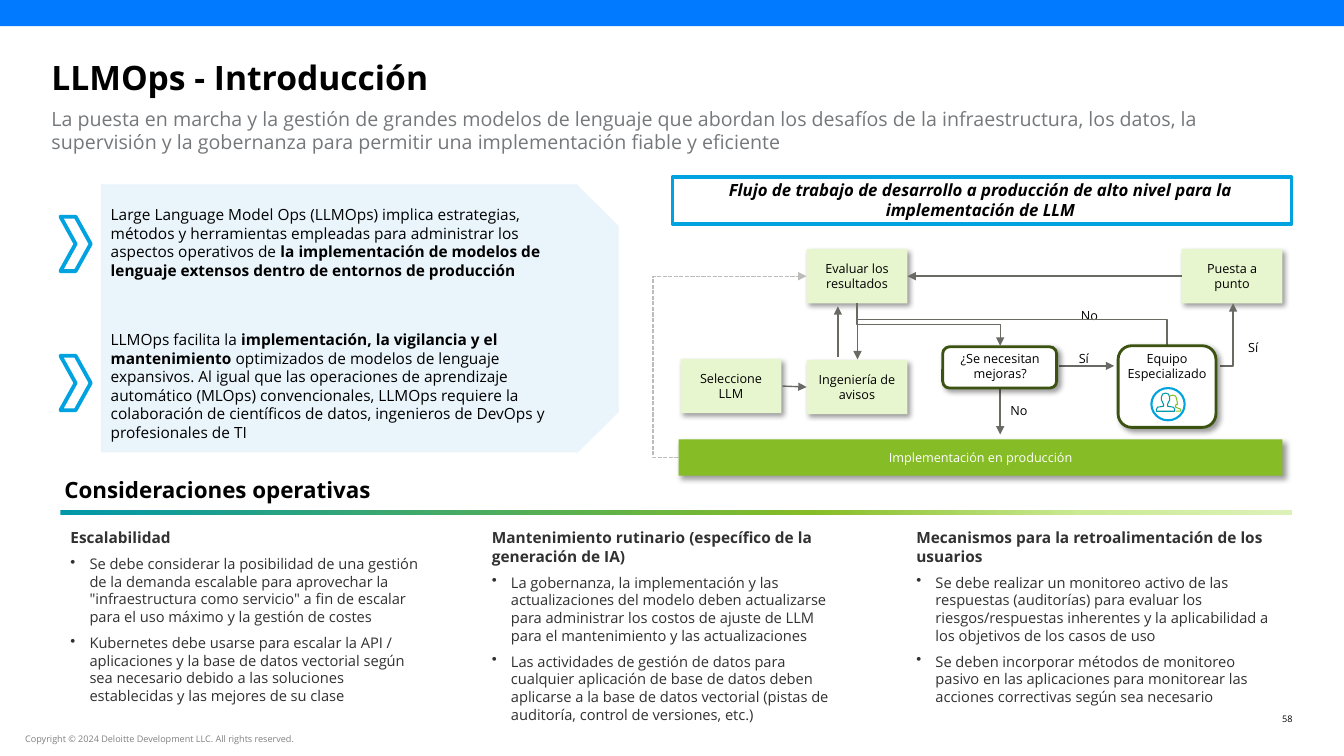
import pptx
import pptx.dml.color
import pptx.enum.dml
import pptx.enum.shapes
import pptx.enum.text
import pptx.oxml
import pptx.oxml.ns
import pptx.util
from lxml import etree
from pptx.util import Inches

FONT = "Open Sans"
BLACK, WHITE, DARK, GRAY = "000000", "FFFFFF", "313131", "6A6A65"
BLUE, PALE_BLUE, GREEN, PALE_GREEN, OLIVE = "00A3E0", "E9F4FB", "86BC25", "E8F6CF", "3B5210"

TITLE = "LLMOps - Introducción"
SUBTITLE = ("La puesta en marcha y la gestión de grandes modelos de lenguaje que abordan los desafíos de la "
            "infraestructura, los datos, la supervisión y la gobernanza para permitir una implementación "
            "fiable y eficiente")
# Text between ** marks is bold.
DEFINITIONS = [
    (1.99, 0.84, 2.15, "Large Language Model Ops (LLMOps) implica estrategias, métodos y herramientas empleadas para "
     "administrar los aspectos operativos de **la implementación de modelos de lenguaje extensos dentro de "
     "entornos de producción**"),
    (3.23, 1.21, 3.53, "LLMOps facilita la **implementación, la vigilancia y el mantenimiento** optimizados de modelos "
     "de lenguaje expansivos. Al igual que las operaciones de aprendizaje automático (MLOps) convencionales, "
     "LLMOps requiere la colaboración de científicos de datos, ingenieros de DevOps y profesionales de TI"),
]
FLOW_TITLE = "Flujo de trabajo de desarrollo a producción de alto nivel para la implementación de LLM"
STEPS = [(6.75, 3.56, "Seleccione LLM"), (8, 3.57, "Ingeniería de avisos"),
         (8, 2.47, "Evaluar los resultados"), (11.72, 2.47, "Puesta a punto")]
BACK_ANSWERS = [((12.19, 3.32, 0.48, 0.25), "Sí"), ((10.58, 3.01, 0.45, 0.25), "No")]
FRONT_ANSWERS = [((9.88, 3.95, 0.45, 0.25), "No"), ((10.53, 3.43, 0.44, 0.25), "Sí")]
DECISIONS = [((9.35, 3.44, 1.13, 0.41), (9.34, 3.43, 1.16, 0.4), "¿Se necesitan mejoras?"),
             ((11.09, 3.43, 0.97, 0.81), (11.05, 3.43, 1.05, 0.4), "Equipo Especializado")]
STRAIGHT_ARROWS = [(7.76, 3.83, 8, 3.84), (9.92, 3.83, 9.92, 4.31), (10.5, 3.63, 11.05, 3.63),
                   (8.31, 3.54, 8.31, 3.04), (11.72, 2.74, 9, 2.74)]
# Box before rotation, rotation, flips, preset, bend position
TEAM_TO_PROMPTS = ((9.97, 1.96, 0.14, 3.07), 270, "HV", "bentConnector3", -1.81)
TEAM_TO_TUNING = ((12.1, 3.01, 0.13, 0.62), 0, "V", "bentConnector2", None)
PRODUCTION_TO_RESULTS = ((6.73, 2.74, 1.27, 1.8), 180, "H", "bentConnector3", -0.2)
RESULTS_TO_DECISION = ((9, 2.51, 0.42, 1.42), 270, "H", "bentConnector3", 0.5)
PERSON_CENTER = 11.56
PERSON_HALF = [(0, 3.9), (0.03, 3.91), (0.04, 3.94), (0.04, 3.97), (0.03, 3.99), (0.02, 4.01),
               (0.02, 4.03), (0.08, 4.04), (0.09, 4.06), (0.09, 4.08)]
SECOND_PERSON = [(11.6, 3.93), (11.63, 3.92), (11.66, 3.93), (11.67, 3.96), (11.68, 4.01), (11.66, 4.02),
                 (11.66, 4.04), (11.71, 4.06), (11.71, 4.08), (11.66, 4.08)]
GRADIENT = [(0, "0097A9"), (61, GREEN), (83, "CBEA94"), (100, "DCF1B8")]
COLUMNS = [
    (0.6, "Escalabilidad", [
        "Se debe considerar la posibilidad de una gestión de la demanda escalable para aprovechar la "
        "\"infraestructura como servicio\" a fin de escalar para el uso máximo y la gestión de costes",
        "Kubernetes debe usarse para escalar la API / aplicaciones y la base de datos vectorial según sea "
        "necesario debido a las soluciones establecidas y las mejores de su clase"]),
    (4.78, "Mantenimiento rutinario (específico de la generación de IA)", [
        "La gobernanza, la implementación y las actualizaciones del modelo deben actualizarse para administrar "
        "los costos de ajuste de LLM para el mantenimiento y las actualizaciones",
        "Las actividades de gestión de datos para cualquier aplicación de base de datos deben aplicarse a la "
        "base de datos vectorial (pistas de auditoría, control de versiones, etc.)"]),
    (8.99, "Mecanismos para la retroalimentación de los usuarios", [
        "Se debe realizar un monitoreo activo de las respuestas (auditorías) para evaluar los "
        "riesgos/respuestas inherentes y la aplicabilidad a los objetivos de los casos de uso",
        "Se deben incorporar métodos de monitoreo pasivo en las aplicaciones para monitorear las acciones "
        "correctivas según sea necesario"]),
]

presentation = pptx.Presentation()
presentation.slide_width, presentation.slide_height = Inches(13.33), Inches(7.5)
slide = presentation.slides.add_slide(presentation.slide_layouts[6])
SHAPE = pptx.enum.shapes.MSO_SHAPE
ALIGN = pptx.enum.text.PP_ALIGN
ANCHOR = pptx.enum.text.MSO_ANCHOR


def rgb(color):
    return pptx.dml.color.RGBColor.from_string(color)


def sub(parent, tag, **attributes):
    """Append a DrawingML element."""
    element = etree.SubElement(parent, pptx.oxml.ns.qn("a:" + tag))
    for name, value in attributes.items():
        element.set(name, str(value))
    return element


def style(shape, fill=None, line=None, width=1.0, shadow=False):
    shape.shadow.inherit = False
    if fill:
        shape.fill.solid()
        shape.fill.fore_color.rgb = rgb(fill)
    else:
        shape.fill.background()
    if line:
        shape.line.color.rgb = rgb(line)
        shape.line.width = pptx.util.Pt(width)
    else:
        shape.line.fill.background()
    if shadow:
        effects = shape._element.spPr.find(pptx.oxml.ns.qn("a:effectLst"))
        outer = sub(effects, "outerShdw", blurRad=50800, dist=38100, dir=2700000, algn="tl", rotWithShape=0)
        sub(sub(outer, "srgbClr", val=BLACK), "alpha", val=40000)
    return shape


def add_shape(kind, box, **look):
    return style(slide.shapes.add_shape(kind, *map(Inches, box)), **look)


def write(shape, text, size=9, color=BLACK, bold=False, italic=False, align=ALIGN.LEFT,
          anchor=ANCHOR.TOP, margins=(0.1, 0.05, 0.1, 0.05), before=0, bullet=False):
    """Add a paragraph to a shape; ** marks switch bold on and off."""
    frame = shape.text_frame
    frame.word_wrap, frame.vertical_anchor = True, anchor
    frame.margin_left, frame.margin_top, frame.margin_right, frame.margin_bottom = map(Inches, margins)
    paragraph = frame.add_paragraph() if frame.text else frame.paragraphs[0]
    paragraph.alignment, paragraph.space_before = align, pptx.util.Pt(before)
    if bullet:
        properties = paragraph._p.get_or_add_pPr()
        properties.set("marL", str(Inches(0.19)))
        properties.set("indent", str(-Inches(0.19)))
        sub(properties, "buChar", char="•")
    for index, part in enumerate(text.split("**")):
        if part:
            run = paragraph.add_run()
            run.text = part
            font = run.font
            font.name, font.size, font.italic = FONT, pptx.util.Pt(size), italic
            font.bold = bold or index % 2 == 1
            font.color.rgb = rgb(color)


def add_text(box, text, **text_format):
    box_shape = slide.shapes.add_textbox(*map(Inches, box))
    write(box_shape, text, **text_format)
    return box_shape


def add_arrow(start_x, start_y, end_x, end_y, elbow=False, color=GRAY, dash=None):
    kinds = pptx.enum.shapes.MSO_CONNECTOR
    kind = kinds.ELBOW if elbow else kinds.STRAIGHT
    arrow = slide.shapes.add_connector(kind, *map(Inches, (start_x, start_y, end_x, end_y)))
    arrow.line.color.rgb = rgb(color)
    arrow.line.width = pptx.util.Pt(1)
    if dash:
        arrow.line.dash_style = dash
    sub(arrow.line._get_or_add_ln(), "tailEnd", type="triangle")
    sub(arrow._element.spPr, "effectLst")
    return arrow


def add_elbow(box, rotation, flips, preset, bend, **look):
    left, top, width, height = box
    properties = add_arrow(left, top, left + width, top + height, elbow=True, **look)._element.spPr
    transform = properties.find(pptx.oxml.ns.qn("a:xfrm"))
    transform.set("rot", str(rotation * 60000))
    for flip in flips:
        transform.set("flip" + flip, "1")
    geometry = properties.find(pptx.oxml.ns.qn("a:prstGeom"))
    geometry.set("prst", preset)
    if bend is not None:
        sub(geometry.find(pptx.oxml.ns.qn("a:avLst")), "gd", name="adj1", fmla=f"val {round(bend * 100000)}")


def add_outline(points, color, close):
    corners = [(Inches(x), Inches(y)) for x, y in points]
    builder = slide.shapes.build_freeform(*corners[0], scale=1.0)
    builder.add_line_segments(corners[1:], close=close)
    style(builder.convert_to_shape(), line=color, width=0.75)


def add_answers(answers):
    for box, text in answers:
        write(add_shape(SHAPE.RECTANGLE, box, fill=WHITE), text, align=ALIGN.CENTER)


flush = (0, 0, 0, 0)
add_text((12.48, 7.08, 0.34, 0.11), "58", size=6.5, align=ALIGN.RIGHT, margins=flush)
add_text((0.25, 7.28, 5.86, 0.11), "Copyright © 2024 Deloitte Development LLC. All rights reserved.",
         size=6.5, color="808080", margins=flush)
add_answers(BACK_ANSWERS)
add_text((0.51, 1.06, 12.31, 0.47), SUBTITLE, size=14, color="75787B", margins=flush)
add_text((0.51, 0.56, 12.31, 0.37), TITLE, size=24, bold=True, margins=flush)

add_shape(SHAPE.RECTANGLE, (1, 1.83, 4.73, 2.66), fill=PALE_BLUE)
panel_tip = add_shape(SHAPE.TRAPEZOID, (4.6, 2.96, 2.66, 0.41), fill=PALE_BLUE)
panel_tip.rotation, panel_tip.adjustments[0] = 90, 0.99
for top, height, chevron_top, text in DEFINITIONS:
    add_text((1, top, 4.84, height), text, size=11)
    add_shape(SHAPE.CHEVRON, (0.6, chevron_top, 0.3, 0.54), line=BLUE, width=2.75)

rule = add_shape(SHAPE.RECTANGLE, (0.6, 5.06, 12.21, 0.05))
rule.fill.gradient()
rule.fill.gradient_angle = 0
stops = rule._element.spPr.find(".//" + pptx.oxml.ns.qn("a:gsLst"))
for stop in list(stops):
    stops.remove(stop)
for position, color in GRADIENT:
    sub(sub(stops, "gs", pos=position * 1000), "srgbClr", val=color)
add_text((0.54, 4.67, 6.67, 0.37), "Consideraciones operativas", size=16, bold=True)
for left, heading, bullets in COLUMNS:
    column_format = dict(color=DARK, margins=(0.1, 0.1, 0.1, 0.05))
    column = add_text((left, 5.14, 3.73, 1.83), heading, size=11, bold=True, **column_format)
    for bullet in bullets:
        write(column, bullet, size=10.5, before=6, bullet=True, **column_format)

add_text((6.73, 1.73, 5.99, 0.5), FLOW_TITLE, size=12, bold=True, italic=True, align=ALIGN.CENTER)
add_shape(SHAPE.RECTANGLE, (6.67, 1.76, 6.14, 0.46), line=BLUE, width=2.75)
centered = dict(align=ALIGN.CENTER, anchor=ANCHOR.MIDDLE)
for left, top, text in STEPS:
    write(add_shape(SHAPE.RECTANGLE, (left, top, 1, 0.54), fill=PALE_GREEN, shadow=True), text, **centered)
production = add_shape(SHAPE.RECTANGLE, (6.73, 4.36, 5.99, 0.36), fill=GREEN, shadow=True)
write(production, "Implementación en producción", color=WHITE, **centered)
add_answers(FRONT_ANSWERS)
for ends in STRAIGHT_ARROWS:
    add_arrow(*ends)
add_elbow(*TEAM_TO_PROMPTS)
add_elbow(*TEAM_TO_TUNING)
add_elbow(*PRODUCTION_TO_RESULTS, color="BCBCB9", dash=pptx.enum.dml.MSO_LINE.SQUARE_DOT)
for box, text_box, text in DECISIONS:
    add_shape(SHAPE.ROUNDED_RECTANGLE, box, fill=WHITE, line=OLIVE, width=2, shadow=True)
    add_text(text_box, text, align=ALIGN.CENTER)

right_side = [(PERSON_CENTER + offset, y) for offset, y in PERSON_HALF]
left_side = [(PERSON_CENTER - offset, y) for offset, y in reversed(PERSON_HALF)]
add_outline(right_side + left_side, "0097A9", close=True)
add_outline(SECOND_PERSON, GREEN, close=False)
add_shape(SHAPE.OVAL, (11.42, 3.85, 0.33, 0.32), line=BLUE, width=1.5)
add_elbow(*RESULTS_TO_DECISION)
add_shape(SHAPE.RECTANGLE, (0, 0, 13.33, 0.26), fill="027AFF")

presentation.save("out.pptx")
